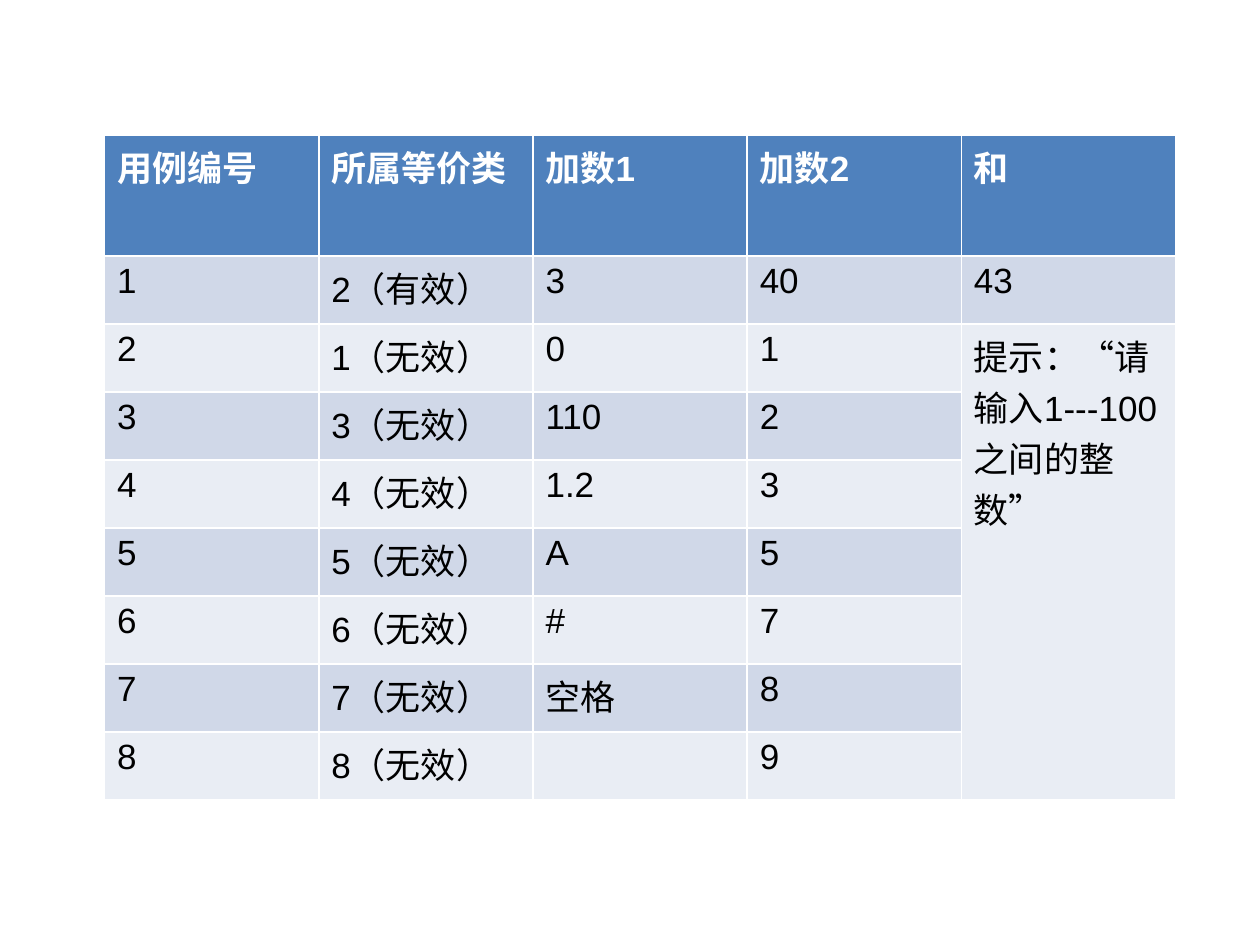
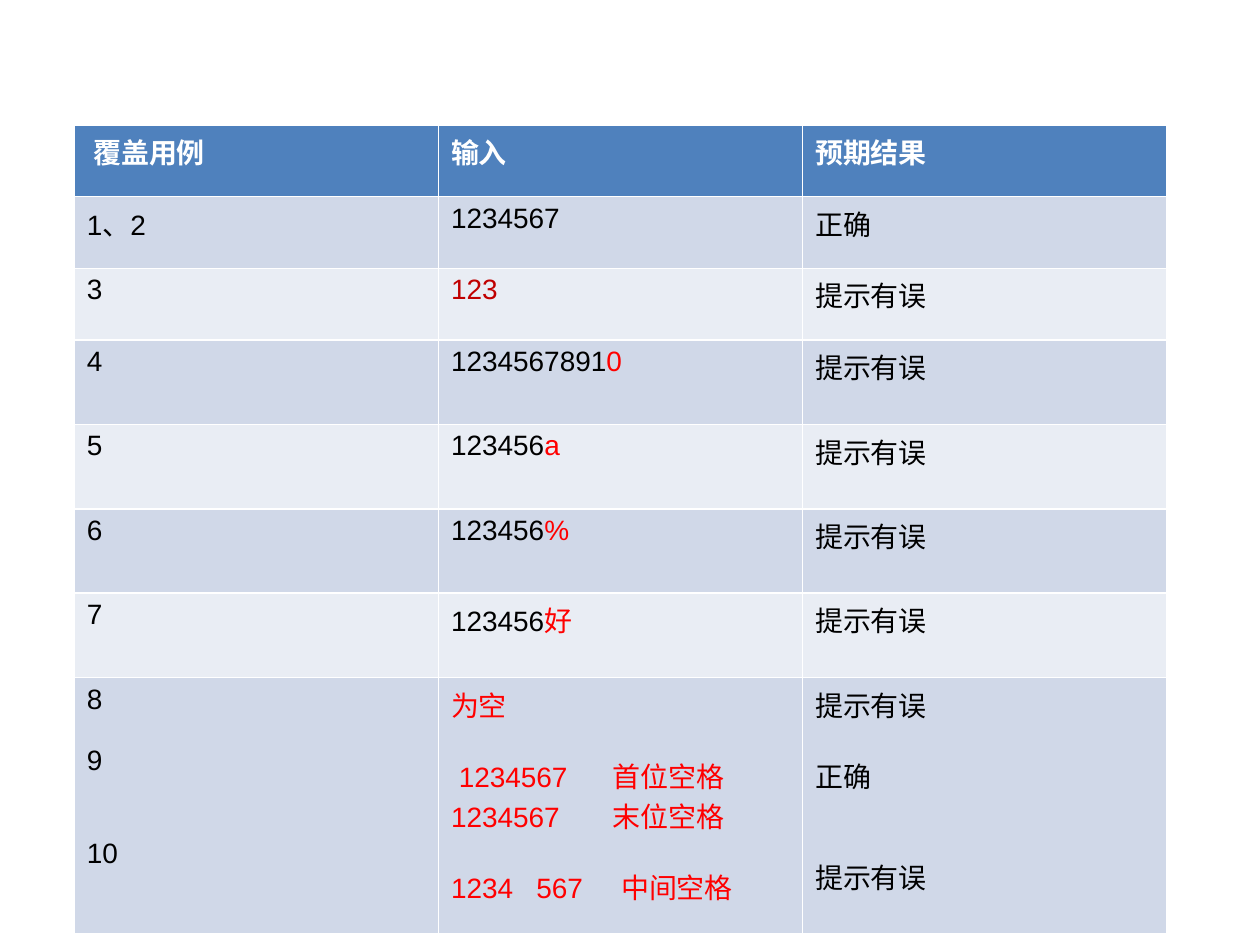
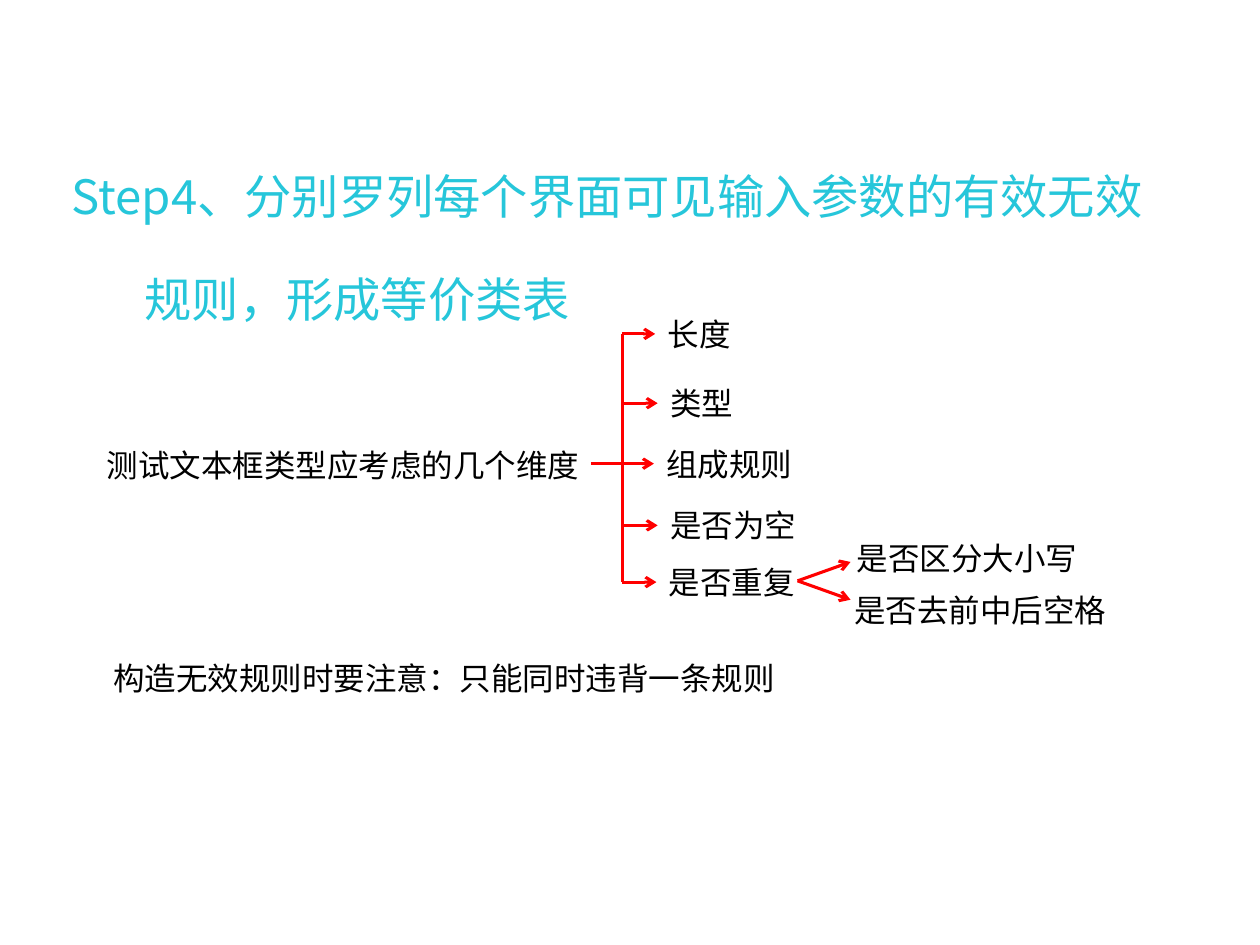
"""Build three slides on equivalence-class testing."""
from dataclasses import dataclass

from lxml import etree
from pptx import Presentation
from pptx.dml.color import RGBColor
from pptx.enum.shapes import MSO_CONNECTOR
from pptx.oxml.ns import qn
from pptx.util import Inches, Pt

STRAIGHT = MSO_CONNECTOR.STRAIGHT
SLIDE_WIDTH, SLIDE_HEIGHT = Inches(10), Inches(7.5)
GRID_COLUMNS, GRID_ROWS = 10, 7.5


@dataclass(frozen=True)
class Theme:
    """Colours, fonts and type sizes of the deck."""
    white: str = "FFFFFF"
    ink: str = "000000"
    header: str = "4F81BD"
    bands: tuple = ("D0D8E8", "E9EDF4")
    title: str = "26C6DA"
    red: str = "FF0000"
    dark_red: str = "C00000"
    latin: str = "Arial"
    chinese: str = "Noto Sans CJK SC"
    title_size: float = 27
    label_size: float = 18
    case_size: float = 20
    result_size: float = 16
    line_width: float = 1.75


THEME = Theme()


@dataclass(frozen=True)
class Line:
    """One paragraph: (text, colour) runs, space before, indent and tab stop."""
    runs: tuple
    gap: float = 0
    indent: float = 0
    tab: float = 0


def col(count):
    """Return the length of a number of grid columns."""
    return round(SLIDE_WIDTH * count / GRID_COLUMNS)


def row(count):
    """Return the length of a number of grid rows."""
    return round(SLIDE_HEIGHT * count / GRID_ROWS)


def plain(text, **layout):
    """Return a line of one run in the default colour."""
    return Line(((text, None),), **layout)


def red(*texts, **layout):
    """Return a line whose last part is red."""
    *lead, marked = texts
    runs = tuple((text, None) for text in lead) + ((marked, THEME.red),)
    return Line(runs, **layout)


def write_lines(frame, lines, size, color, latin, bold=False):
    """Fill a text frame with formatted lines."""
    for index, line in enumerate(lines):
        paragraph = frame.add_paragraph() if index else frame.paragraphs[0]
        if line.gap:
            paragraph.space_before = Pt(line.gap)
        properties = paragraph._p.get_or_add_pPr()
        if line.indent:
            properties.set("marL", str(col(line.indent)))
        if line.tab:
            stops = etree.SubElement(properties, qn("a:tabLst"))
            etree.SubElement(stops, qn("a:tab"), pos=str(col(line.tab)), algn="l")
        for text, run_color in line.runs:
            run = paragraph.add_run()
            run.text = text
            formats = {"name": latin, "size": Pt(size), "bold": bold}
            for attribute, value in formats.items():
                setattr(run.font, attribute, value)
            run.font.color.rgb = RGBColor.from_string(run_color or color)
            east_asian = etree.SubElement(run.font._element, qn("a:ea"))
            east_asian.set("typeface", THEME.chinese)


def add_grid_table(slide, left, top, column_width, row_heights, records, size):
    """Add a banded table with a header row."""
    columns = len(records[0])
    table = slide.shapes.add_table(
        len(records), columns, col(left), row(top),
        col(column_width * columns), row(sum(row_heights))).table
    for column in table.columns:
        column.width = col(column_width)
    for number, (record, height) in enumerate(zip(records, row_heights)):
        table.rows[number].height = row(height)
        is_header = number == 0
        fill = THEME.header if is_header else THEME.bands[(number - 1) % 2]
        color = THEME.white if is_header else THEME.ink
        for position, content in enumerate(record):
            cell = table.cell(number, position)
            cell.fill.solid()
            cell.fill.fore_color.rgb = RGBColor.from_string(fill)
            if isinstance(content, str):
                content = [plain(content)]
            write_lines(cell.text_frame, content, size, color, THEME.latin, is_header)
    return table


def add_text(slide, left, top, width, height, lines, size, color):
    """Add a wrapping text box."""
    frame = slide.shapes.add_textbox(
        col(left), row(top), col(width), row(height)).text_frame
    frame.word_wrap = True
    write_lines(frame, lines, size, color, THEME.chinese)


def add_label(slide, left, top, width, text):
    """Add a one-line diagram label."""
    add_text(slide, left, top, width, 0.4, [plain(text)], THEME.label_size, THEME.ink)


def add_line(slide, start, end, arrow=True):
    """Add a red line, with an arrowhead at its end if asked."""
    connector = slide.shapes.add_connector(
        STRAIGHT, col(start[0]), row(start[1]), col(end[0]), row(end[1]))
    connector.line.color.rgb = RGBColor.from_string(THEME.red)
    connector.line.width = Pt(THEME.line_width)
    if arrow:
        etree.SubElement(connector.line._get_or_add_ln(), qn("a:tailEnd"), type="arrow")
    etree.SubElement(connector._element.spPr, qn("a:effectLst"))


def build_addition_cases(slide):
    """Build the table of addition test cases."""
    first_addends = ["0", "110", "1.2", "A", "#", "空格", ""]
    second_addends = ["1", "2", "3", "5", "7", "8", "9"]
    invalid_classes = [1, 3, 4, 5, 6, 7, 8]
    records = [["用例编号", "所属等价类", "加数1", "加数2", "和"],
               ["1", "2（有效）", "3", "40", "43"]]
    invalid_cases = zip(invalid_classes, first_addends, second_addends)
    for number, (group, first, second) in enumerate(invalid_cases, 2):
        prompt = "提示：“请输入1---100之间的整数”" if number == 2 else ""
        records.append([str(number), f"{group}（无效）", first, second, prompt])
    table = add_grid_table(slide, 0.83, 1.07, 1.7, [0.96] + [0.54] * 8,
                           records, THEME.case_size)
    table.cell(2, 4).merge(table.cell(8, 4))


def build_expected_results(slide):
    """Build the table of inputs and expected results."""
    error = "提示有误"
    blank = 17.5
    records = [
        [" 覆盖用例", "输入", "预期结果"],
        ["1、2", "1234567", "正确"],
        ["3", [Line((("123", THEME.dark_red),))], error],
        ["4", [red("1234567891", "0")], error],
        ["5", [red("123456", "a")], error],
        ["6", [red("123456", "%")], error],
        ["7", [red("123456", "好")], error],
        [[plain("8"), plain("9", gap=blank), plain("10", gap=2 * blank)],
         [red("为空"),
          red(" 1234567\t首位空格", gap=blank, tab=1.28),
          red("1234567\t末位空格", tab=1.28),
          red("1234   567\t中间空格", gap=blank, tab=1.35)],
         [plain(error), plain("正确", gap=blank), plain(error, gap=2 * blank)]],
    ]
    heights = [0.57] * 3 + [0.67] * 4 + [2.03]
    add_grid_table(slide, 0.59, 0.99, 2.89, heights, records, THEME.result_size)


def build_dimensions(slide):
    """Build the step title and the tree of text-box dimensions."""
    title = [plain("Step4、分别罗列每个界面可见输入参数的有效无效"),
             plain("规则，形成等价类表", gap=26.5, indent=0.58)]
    add_text(slide, 0.47, 1.28, 8.84, 1.3, title, THEME.title_size, THEME.title)
    add_label(slide, 0.75, 3.49, 4.17, "测试文本框类型应考虑的几个维度")
    spine, middle, root_end = 4.94, 0.2, 4.69
    branches = [("长度", 5.2, 2.45), ("类型", 5.22, 3), ("组成规则", 5.19, 3.48),
                ("是否为空", 5.22, 3.97), ("是否重复", 5.21, 4.42)]
    for text, left, top in branches:
        add_label(slide, left, top, 1.5, text)
        start = root_end if text == "组成规则" else spine
        add_line(slide, (start, top + middle), (left, top + middle))
    add_line(slide, (spine, branches[0][2] + middle),
             (spine, branches[-1][2] + middle), arrow=False)
    leaves = [("是否区分大小写", 6.7, 4.23, 4.46), ("是否去前中后空格", 6.68, 4.64, 4.76)]
    for text, left, top, tip in leaves:
        add_label(slide, left, top, 2.49, text)
        add_line(slide, (6.33, 4.61), (6.75, tip))
    add_label(slide, 0.8, 5.18, 6.66, "构造无效规则时要注意：只能同时违背一条规则")


def main():
    """Build and save the deck."""
    deck = Presentation()
    deck.slide_width, deck.slide_height = SLIDE_WIDTH, SLIDE_HEIGHT
    for build in (build_addition_cases, build_expected_results, build_dimensions):
        build(deck.slides.add_slide(deck.slide_layouts[6]))
    deck.save("out.pptx")


if __name__ == "__main__":
    main()
